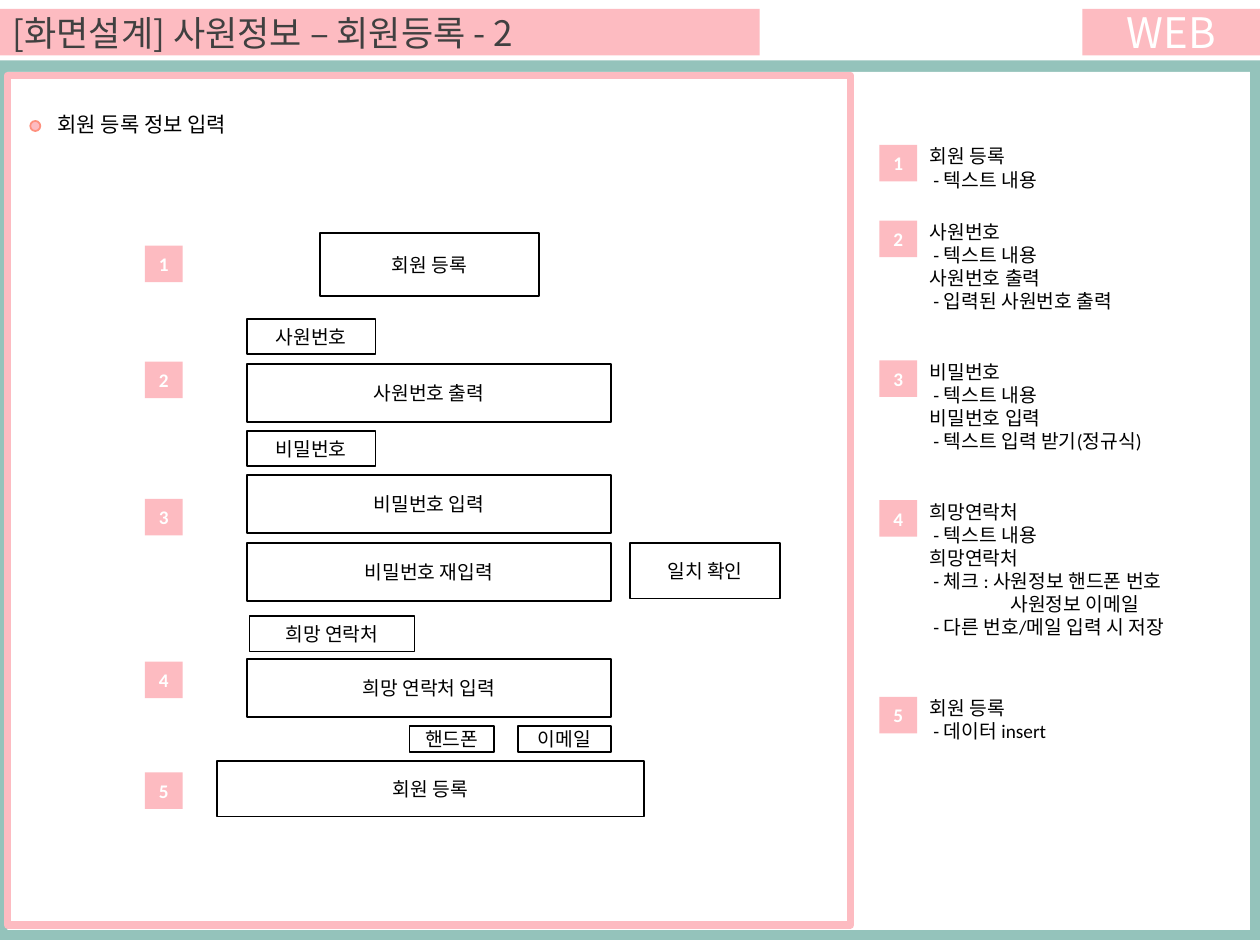
from typing import NamedTuple, Optional

from pptx import Presentation
from pptx.dml.color import RGBColor
from pptx.enum.shapes import MSO_SHAPE
from pptx.enum.text import MSO_ANCHOR, MSO_AUTO_SIZE, PP_ALIGN
from pptx.util import Inches, Pt

RECTANGLE, OVAL = MSO_SHAPE.RECTANGLE, MSO_SHAPE.OVAL
LEFT, CENTER = PP_ALIGN.LEFT, PP_ALIGN.CENTER
MIDDLE = MSO_ANCHOR.MIDDLE
NO_FIT, GROW = MSO_AUTO_SIZE.NONE, MSO_AUTO_SIZE.SHAPE_TO_FIT_TEXT

TEAL = RGBColor(0x94, 0xC3, 0xBB)
PINK = RGBColor(0xFD, 0xBB, 0xC1)
CORAL = RGBColor(0xFE, 0x90, 0x7E)
GRAY = RGBColor(0x40, 0x40, 0x40)
BLACK = RGBColor(0, 0, 0)
WHITE = RGBColor(0xFF, 0xFF, 0xFF)

BODY_FONT, HEADING_FONT = "Calibri", "Noto Sans CJK KR"
DETAIL_INDENT, CONTINUATION_INDENT = 0.03, 0.64
BADGE_WIDTH, BADGE_HEIGHT = 0.3, 0.29
FORM_BADGE_LEFT, NOTE_BADGE_LEFT = 1.15, 6.98
FORM_LEFT, FIELD_WIDTH, FIELD_HEIGHT = 1.96, 2.89, 0.46
LABEL_HEIGHT = 0.28


class Box(NamedTuple):
    left: float
    top: float
    width: float
    height: float


class Control(NamedTuple):
    text: str
    box: Box


class Line(NamedTuple):
    text: str
    indent: float = 0


class Note(NamedTuple):
    top: float
    height: float
    lines: list[Line]


def detail(text: str) -> Line:
    return Line("- " + text, DETAIL_INDENT)


def field(text: str, top: float) -> Control:
    return Control(text, Box(FORM_LEFT, top, FIELD_WIDTH, FIELD_HEIGHT))


def label(text: str, left: float, top: float, width: float) -> Control:
    return Control(text, Box(left, top, width, LABEL_HEIGHT))


CONTROLS = [
    Control("회원 등록", Box(2.54, 1.85, 1.74, 0.5)),
    label("사원번호", FORM_LEFT, 2.53, 1.02),
    field("사원번호 출력", 2.89),
    label("비밀번호", FORM_LEFT, 3.42, 1.02),
    field("비밀번호 입력", 3.77),
    field("비밀번호 재입력", 4.31),
    Control("일치 확인", Box(5, 4.31, 1.19, 0.44)),
    label("희망 연락처", 1.98, 4.89, 1.31),
    field("희망 연락처 입력", 5.23),
    Control("핸드폰", Box(3.25, 5.76, 0.67, 0.21)),
    Control("이메일", Box(4.11, 5.76, 0.74, 0.21)),
    Control("회원 등록", Box(1.72, 6.04, 3.39, 0.44)),
]
FORM_BADGE_TOPS = [1.95, 2.87, 3.96, 5.25, 6.13]
NOTES = [
    Note(1.1, 0.47, [Line("회원 등록"), detail("텍스트 내용")]),
    Note(1.7, 0.84, [Line("사원번호"), detail("텍스트 내용"),
                     Line("사원번호 출력"), detail("입력된 사원번호 출력")]),
    Note(2.81, 0.84, [Line("비밀번호"), detail("텍스트 내용"),
                      Line("비밀번호 입력"), detail("텍스트 입력 받기(정규식)")]),
    Note(3.92, 1.21, [Line("희망연락처"), detail("텍스트 내용"),
                      Line("희망연락처"), detail("체크 : 사원정보 핸드폰 번호"),
                      Line("사원정보 이메일", CONTINUATION_INDENT),
                      detail("다른 번호/메일 입력 시 저장")]),
    Note(5.48, 0.47, [Line("회원 등록"), detail("데이터 insert")]),
]


def add_run(paragraph, text: str, size: float, color: RGBColor,
            font: str = BODY_FONT, bold: bool = False) -> None:
    run = paragraph.add_run()
    run.text = text
    run.font.name, run.font.size, run.font.bold = font, Pt(size), bold
    run.font.color.rgb = color


def add_panel(slide, box: Box, fill: Optional[RGBColor] = None,
              outline: Optional[RGBColor] = None, weight: float = 1,
              geometry=RECTANGLE):
    panel = slide.shapes.add_shape(geometry, *map(Inches, box))
    panel.shadow.inherit = False
    if fill is None:
        panel.fill.background()
    else:
        panel.fill.solid()
        panel.fill.fore_color.rgb = fill
    if outline is None:
        panel.line.fill.background()
    else:
        panel.line.color.rgb = outline
        panel.line.width = Pt(weight)
    return panel


def write_centered(panel, text: str, size: float, color: RGBColor,
                   font: str = BODY_FONT, bold: bool = False) -> None:
    panel.text_frame.vertical_anchor = MIDDLE
    paragraph = panel.text_frame.paragraphs[0]
    paragraph.alignment = CENTER
    add_run(paragraph, text, size, color, font, bold)


def add_badge(slide, number: int, left: float, top: float) -> None:
    badge = add_panel(slide, Box(left, top, BADGE_WIDTH, BADGE_HEIGHT), PINK)
    write_centered(badge, str(number), 11, WHITE, bold=True)


def add_lines(slide, box: Box, lines: list[Line], size: float) -> None:
    frame = slide.shapes.add_textbox(*map(Inches, box)).text_frame
    frame.word_wrap = True
    frame.auto_size = GROW
    for index, line in enumerate(lines):
        paragraph = frame.add_paragraph() if index else frame.paragraphs[0]
        if line.indent:
            paragraph._p.get_or_add_pPr().set("marL", str(Inches(line.indent)))
        add_run(paragraph, line.text, size, BLACK)


def format_title(title) -> None:
    title.left, title.top = Inches(0), Inches(0.07)
    title.width, title.height = Inches(6.03), Inches(0.37)
    title.fill.solid()
    title.fill.fore_color.rgb = PINK
    frame = title.text_frame
    frame.auto_size = NO_FIT
    frame.vertical_anchor = MIDDLE
    frame.paragraphs[0].alignment = LEFT
    add_run(frame.paragraphs[0], "[화면설계] 사원정보 – 회원등록 - 2", 20, GRAY,
            HEADING_FONT)


def main() -> None:
    deck = Presentation()
    deck.slide_width, deck.slide_height = Inches(10), Inches(7.5)
    slide = deck.slides.add_slide(deck.slide_layouts[5])
    format_title(slide.shapes.title)

    add_panel(slide, Box(0, 0.48, 10, 6.98), TEAL)
    add_panel(slide, Box(0.06, 0.57, 9.86, 6.81), WHITE)
    add_panel(slide, Box(0.06, 0.6, 6.69, 6.74), outline=PINK, weight=4.5)
    platform = add_panel(slide, Box(8.59, 0.07, 1.41, 0.37), PINK)
    write_centered(platform, "WEB", 24, WHITE, HEADING_FONT)

    add_panel(slide, Box(0.24, 0.96, 0.08, 0.08), PINK, CORAL, geometry=OVAL)
    add_lines(slide, Box(0.33, 0.84, 3.86, 0.3),
              [Line("회원 등록 정보 입력", DETAIL_INDENT)], 12)

    for control in CONTROLS:
        write_centered(add_panel(slide, control.box, WHITE, BLACK),
                       control.text, 11, BLACK)
    for number, top in enumerate(FORM_BADGE_TOPS, 1):
        add_badge(slide, number, FORM_BADGE_LEFT, top)
    for number, note in enumerate(NOTES, 1):
        add_badge(slide, number, NOTE_BADGE_LEFT, note.top + 0.05)
        add_lines(slide, Box(NOTE_BADGE_LEFT + BADGE_WIDTH, note.top, 2.65,
                             note.height), note.lines, 11)

    deck.save("out.pptx")


if __name__ == "__main__":
    main()
